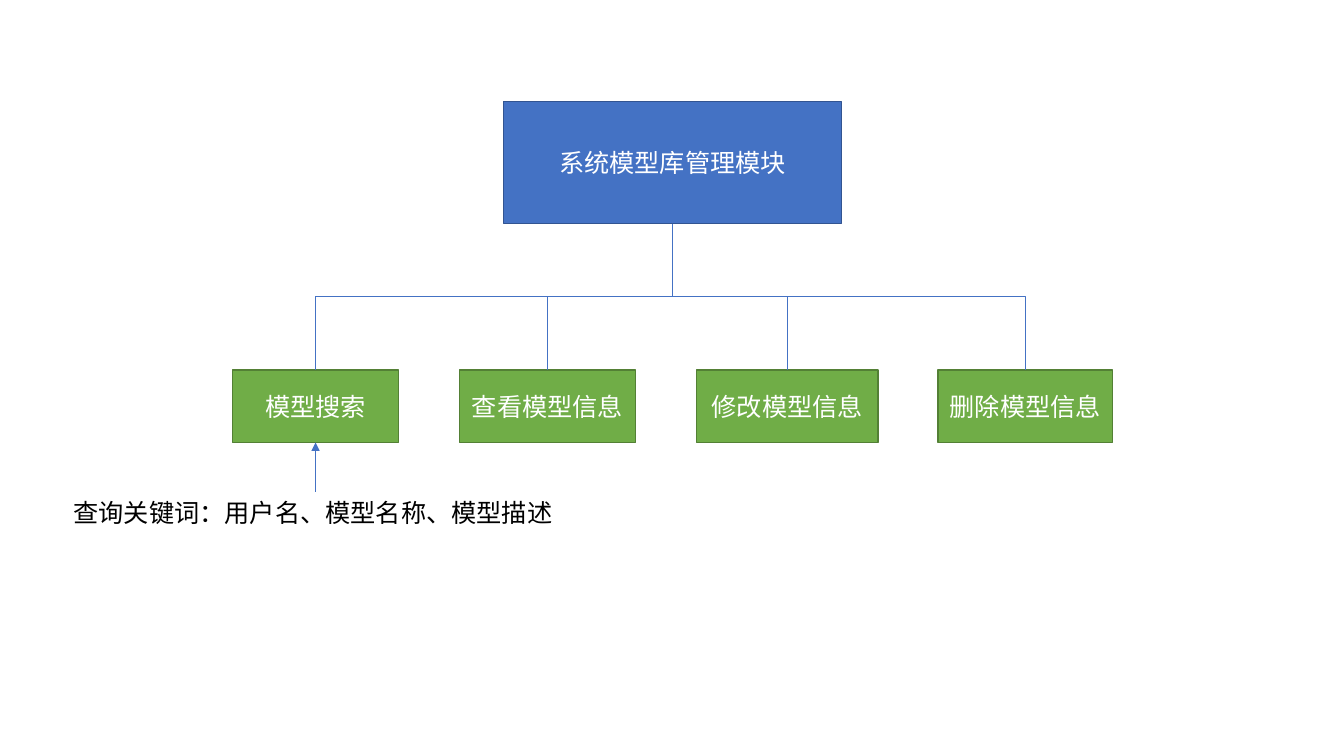
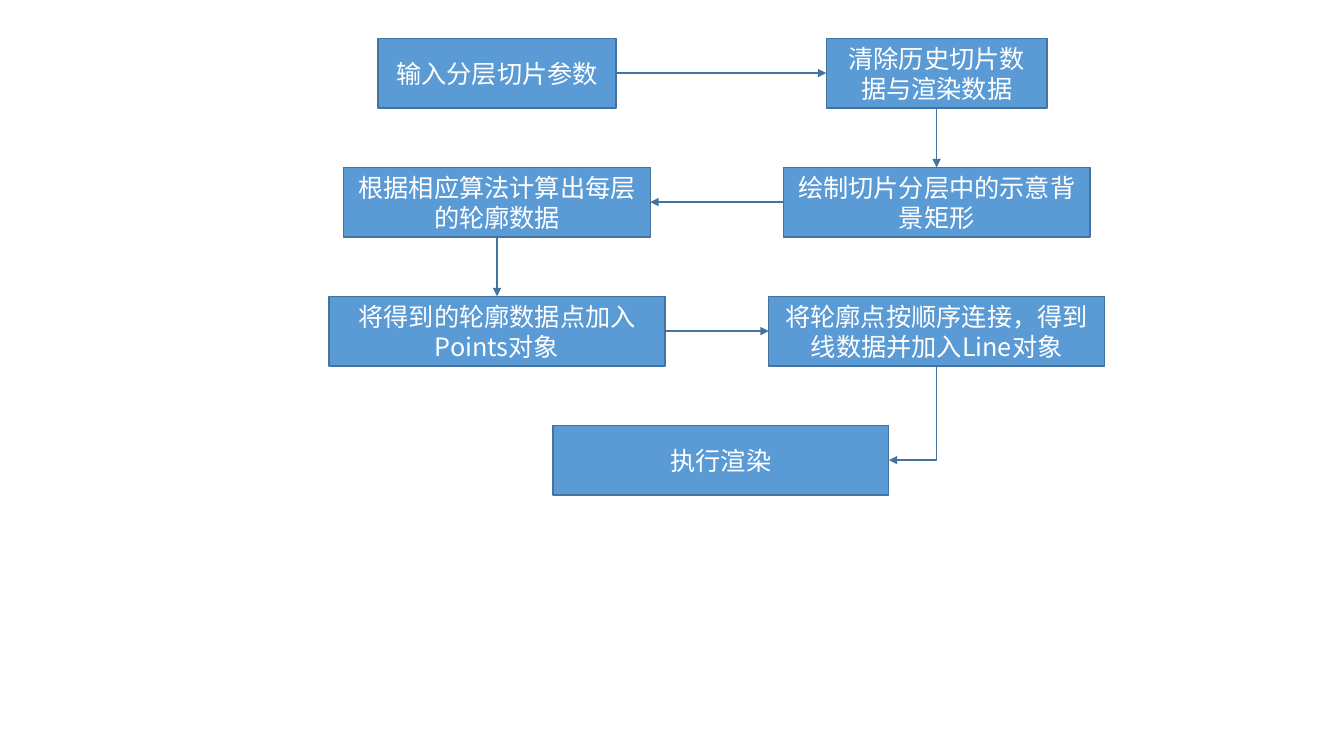
"""Builds a module tree slide and a slicing flow slide."""
from lxml import etree
from pptx import Presentation
from pptx import util as u
from pptx.dml.color import RGBColor
from pptx.enum import shapes, text
from pptx.oxml.ns import qn

FONT, SIZE = "Noto Sans CJK SC", 18
WHITE, BLACK = "FFFFFF", "000000"
ROOT = ("4472C4", "325491")
LEAF = ("70AD47", "538035")
STEP = ("5B9BD5", "43739E")
TOP, LEFT, BOTTOM, RIGHT = range(4)

LEAF_TOP, LEAF_HEIGHT = 3.67, 0.72
LEAVES = [
    ("模型搜索", 3.13, 1.65),
    ("查看模型信息", 5.43, 1.75),
    ("修改模型信息", 7.81, 1.8),
    ("删除模型信息", 10.17, 1.73),
]

COLUMNS = (4.93, 9.29)
MIDDLE = 7.15
ROW_TOP, ROW_PITCH, ROW_HEIGHT = 0.38, 1.28, 0.69
STEPS = [
    ("输入分层切片参数", COLUMNS[0], 0, 2.36),
    ("清除历史切片数据与渲染数据", COLUMNS[1], 0, 2.19),
    ("绘制切片分层中的示意背景矩形", COLUMNS[1], 1, 3.04),
    ("根据相应算法计算出每层的轮廓数据", COLUMNS[0], 1, 3.04),
    ("将得到的轮廓数据点加入Points对象", COLUMNS[0], 2, 3.33),
    ("将轮廓点按顺序连接，得到线数据并加入Line对象", COLUMNS[1], 2, 3.33),
    ("执行渲染", MIDDLE, 3, 3.33),
]
FLOW_SITES = [(RIGHT, LEFT), (BOTTOM, TOP), (LEFT, RIGHT), (BOTTOM, TOP), (RIGHT, LEFT)]


def color(value):
    """Turn a hex string into a colour."""
    return RGBColor.from_string(value)


def write(para, words, ink):
    """Add one run in the deck's type style."""
    span = para.add_run()
    span.text = words
    span.font.size = u.Pt(SIZE)
    span.font.name = FONT
    span.font.color.rgb = color(ink)
    etree.SubElement(span.font._element, qn("a:ea"), typeface=FONT)


def add_box(page, words, centre, top, width, height, style):
    """Draw a labelled rectangle centred on a column."""
    box = page.shapes.add_shape(
        shapes.MSO_SHAPE.RECTANGLE,
        *map(u.Inches, (centre - width / 2, top, width, height)))
    fill, edge = style
    box.shadow.inherit = False
    box.fill.solid()
    box.fill.fore_color.rgb = color(fill)
    box.line.color.rgb = color(edge)
    box.line.width = u.Pt(1)
    frame = box.text_frame
    frame.word_wrap = True
    frame.vertical_anchor = text.MSO_ANCHOR.MIDDLE
    para = frame.paragraphs[0]
    para.alignment = text.PP_ALIGN.CENTER
    write(para, words, WHITE)
    return box


def add_note(page, words, left, top, width, height):
    """Place a one-line plain text box."""
    note = page.shapes.add_textbox(*map(u.Inches, (left, top, width, height)))
    note.text_frame.word_wrap = False
    note.text_frame.auto_size = text.MSO_AUTO_SIZE.SHAPE_TO_FIT_TEXT
    write(note.text_frame.paragraphs[0], words, BLACK)
    return note


def add_link(page, source, target, sites, ink, weight, arrow=True,
             kind=shapes.MSO_CONNECTOR.STRAIGHT):
    """Glue a connector between two shapes."""
    link = page.shapes.add_connector(kind, 0, 0, 0, 0)
    link.begin_connect(source, sites[0])
    link.end_connect(target, sites[1])
    link.line.color.rgb = color(ink)
    link.line.width = u.Pt(weight)
    properties = link._element.spPr
    if arrow:
        etree.SubElement(properties.find(qn("a:ln")), qn("a:tailEnd"), type="triangle")
    etree.SubElement(properties, qn("a:effectLst"))
    return link


def add_elbow(page, source, target, sites, ink, weight, arrow, preset):
    """Glue a bent connector that leaves its source downwards."""
    link = add_link(page, source, target, sites, ink, weight, arrow,
                    shapes.MSO_CONNECTOR.ELBOW)
    across, down = link.end_x - link.begin_x, link.end_y - link.begin_y
    middle_x = (link.begin_x + link.end_x) // 2
    middle_y = (link.begin_y + link.end_y) // 2
    link.width, link.height = down, abs(across)
    link.left, link.top = middle_x - down // 2, middle_y - abs(across) // 2
    properties = link._element.spPr
    frame = properties.find(qn("a:xfrm"))
    frame.attrib.clear()
    frame.set("rot", str((90 if across < 0 else 270) * 60000))
    if across >= 0:
        frame.set("flipH", "1")
    properties.find(qn("a:prstGeom")).set("prst", preset)


def build_tree(page):
    """Show the management module and its four functions."""
    root = add_box(page, "系统模型库管理模块", 6.67, 1.01, 3.35, 1.21, ROOT)
    leaves = [add_box(page, words, centre, LEAF_TOP, width, LEAF_HEIGHT, LEAF)
              for words, centre, width in LEAVES]
    for leaf in leaves:
        add_elbow(page, root, leaf, (BOTTOM, TOP), ROOT[0], 0.5, False, "bentConnector3")
    note = add_note(page, "查询关键词：用户名、模型名称、模型描述", 0.63, 4.88, 5, 0.4)
    add_link(page, note, leaves[0], (TOP, BOTTOM), ROOT[0], 0.5)


def build_flow(page):
    """Show the slicing steps from input to rendering."""
    steps = [add_box(page, words, centre, ROW_TOP + row * ROW_PITCH, width, ROW_HEIGHT, STEP)
             for words, centre, row, width in STEPS]
    for source, target, sites in zip(steps, steps[1:], FLOW_SITES):
        add_link(page, source, target, sites, STEP[1], 1)
    add_elbow(page, steps[-2], steps[-1], (BOTTOM, RIGHT), STEP[1], 1, True, "bentConnector2")


def main():
    """Build and save the deck."""
    deck = Presentation()
    deck.slide_width, deck.slide_height = u.Inches(13.33), u.Inches(7.5)
    for build in (build_tree, build_flow):
        build(deck.slides.add_slide(deck.slide_layouts[6]))
    deck.save("out.pptx")


if __name__ == "__main__":
    main()
